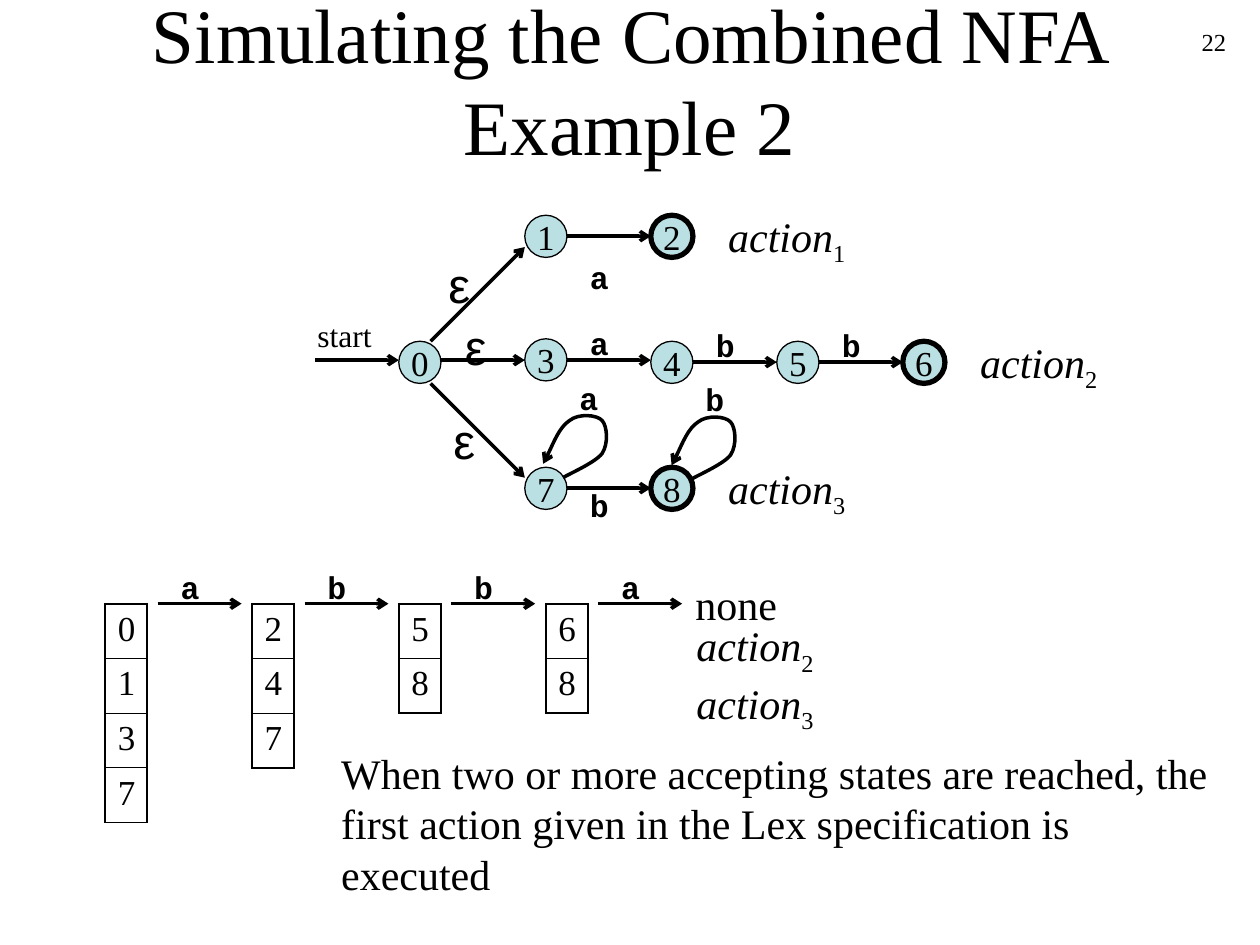
from dataclasses import dataclass

from lxml import etree
from pptx import Presentation
from pptx.dml.color import RGBColor
from pptx.enum.shapes import MSO_CONNECTOR, MSO_SHAPE
from pptx.enum.text import MSO_ANCHOR, MSO_AUTO_SIZE, PP_ALIGN
from pptx.oxml.ns import qn
from pptx.util import Cm, Pt

BLACK = RGBColor(0x00, 0x00, 0x00)
STATE_FILL = RGBColor(0xBB, 0xE0, 0xE3)
SERIF, SANS, MONO = "Times New Roman", "Arial", "Courier New"
STRAIGHT, OVAL = MSO_CONNECTOR.STRAIGHT, MSO_SHAPE.OVAL
MIDDLE, CENTER, RIGHT = MSO_ANCHOR.MIDDLE, PP_ALIGN.CENTER, PP_ALIGN.RIGHT
FIT_SHAPE, NO_FIT = MSO_AUTO_SIZE.SHAPE_TO_FIT_TEXT, MSO_AUTO_SIZE.NONE

# All distances below are centimetres.
PITCH, DIAMETER = 2.54, 0.85
ARROW_LENGTH = PITCH - DIAMETER
STATE_LEFT, STATE_TOP = 8.04, 4.34
TRACE_LEFT, TRACE_TOP, TRACE_PITCH, ROW_HEIGHT = 2.12, 12.17, 2.96, 1.1
LOOP_POINTS = [
    (11.35, 9.63), (11.48, 9.55), (12.01, 9.32), (12.14, 9.14),
    (12.27, 8.94), (12.24, 8.59), (12.14, 8.48), (12.04, 8.36),
    (11.66, 8.33), (11.48, 8.48), (11.28, 8.61), (11.05, 9.17), (10.95, 9.35),
]


@dataclass
class State:
    name: str
    column: int
    row: int
    accepting: bool = False
    raised: float = 0


@dataclass
class Label:
    text: str
    left: float
    top: float
    width: float = 0.89
    height: float = 1.02
    size: int = 18
    face: str = MONO
    bold: bool = False


@dataclass
class Step:
    states: str
    symbol: str


STATES = [
    State("0", 0, 1), State("1", 1, 0), State("2", 2, 0, True),
    State("3", 1, 1, raised=0.05), State("4", 2, 1), State("5", 3, 1),
    State("6", 4, 1, True), State("7", 1, 2), State("8", 2, 2, True),
]
# Column each level arrow leaves, and its height; the start arrow leaves column -1.
LEVEL_ARROWS = [(-1, 7.26), (0, 7.26), (1, 7.26), (2, 7.3), (3, 7.3), (1, 4.76), (1, 9.84)]
DIAGONAL_ARROWS = [(8.68, 6.88, 10.58, 4.98), (8.68, 7.73, 10.58, 9.63)]
SYMBOLS = [
    ("a", 11.64, 5.08), ("a", 11.64, 6.4), ("b", 14.18, 6.45), ("b", 16.72, 6.45),
    ("b", 11.64, 9.68), ("a", 11.43, 7.52), ("b", 13.97, 7.54),
]
EPSILONS = [(8.79, 5.0), (9.12, 6.25), (8.89, 8.15)]
ACTIONS = [("1", 14.43, 4.11), ("2", 19.51, 6.65), ("3", 14.43, 9.19), ("23", 13.79, 12.37)]
STEPS = [Step("0137", "a"), Step("247", "b"), Step("58", "b"), Step("68", "a")]


def set_font(font, size: int, face: str = SERIF, bold: bool = False) -> None:
    font.size, font.name, font.bold = Pt(size), face, bold
    font.color.rgb = BLACK


def add_label(slide, label: Label):
    box = slide.shapes.add_textbox(
        Cm(label.left), Cm(label.top), Cm(label.width), Cm(label.height))
    frame = box.text_frame
    frame.word_wrap, frame.auto_size = False, FIT_SHAPE
    paragraph = frame.paragraphs[0]
    paragraph.text = label.text
    set_font(paragraph.font, label.size, label.face, label.bold)
    return box


def add_actions(slide, numbers: str, left: float, top: float) -> None:
    """Write one line for each number, the number set as a subscript."""
    height = 1.42 if len(numbers) == 1 else 2.57
    box = add_label(slide, Label("", left, top, 2.87, height, 24, SERIF))
    paragraph = box.text_frame.paragraphs[0]
    for index, number in enumerate(numbers):
        if index:
            paragraph.add_line_break()
        word = paragraph.add_run()
        word.text, word.font.italic = "action", True
        subscript = paragraph.add_run()
        subscript.text = number
        subscript.font._element.set("baseline", "-25000")


def style_arrow(shape) -> None:
    shape.line.color.rgb, shape.line.width = BLACK, Pt(2)
    etree.SubElement(shape.line._get_or_add_ln(), qn("a:tailEnd"), type="arrow")


def add_arrow(slide, x1: float, y1: float, x2: float, y2: float) -> None:
    arrow = slide.shapes.add_connector(STRAIGHT, Cm(x1), Cm(y1), Cm(x2), Cm(y2))
    style_arrow(arrow)
    etree.SubElement(arrow._element.spPr, qn("a:effectLst"))


def add_loop(slide, right: float, down: float) -> None:
    """Draw the loop, turning every three straight segments into one curve."""
    points = [(Cm(x + right), Cm(y + down)) for x, y in LOOP_POINTS]
    builder = slide.shapes.build_freeform(*points[0])
    builder.add_line_segments(points[1:], close=False)
    loop = builder.convert_to_shape()
    loop.shadow.inherit = False
    loop.fill.background()
    style_arrow(loop)
    segments = list(loop._element.iter(qn("a:lnTo")))
    for first in range(0, len(segments), 3):
        curve = etree.SubElement(segments[first].getparent(), qn("a:cubicBezTo"))
        for segment in segments[first:first + 3]:
            curve.append(segment[0])
            segment.getparent().remove(segment)


def add_state(slide, state: State) -> None:
    circle = slide.shapes.add_shape(
        OVAL, Cm(STATE_LEFT + PITCH * state.column),
        Cm(STATE_TOP + PITCH * state.row - state.raised), Cm(DIAMETER), Cm(DIAMETER))
    circle.shadow.inherit = False
    circle.fill.solid()
    circle.fill.fore_color.rgb = STATE_FILL
    circle.line.color.rgb = BLACK
    circle.line.width = Pt(3 if state.accepting else 0.75)
    frame = circle.text_frame
    frame.word_wrap, frame.vertical_anchor = False, MIDDLE
    paragraph = frame.paragraphs[0]
    paragraph.text, paragraph.alignment = state.name, CENTER
    set_font(paragraph.font, 20)


def add_border(cell, side: str, width: float) -> None:
    line = etree.SubElement(
        cell._tc.get_or_add_tcPr(), qn(f"a:ln{side}"), w=str(int(Pt(width))))
    fill = etree.SubElement(line, qn("a:solidFill"))
    etree.SubElement(fill, qn("a:srgbClr"), val=str(BLACK))


def add_state_set(slide, states: str, left: float) -> None:
    count = len(states)
    table = slide.shapes.add_table(
        count, 1, Cm(left), Cm(TRACE_TOP), Cm(DIAMETER), Cm(ROW_HEIGHT * count)).table
    table.first_row = table.horz_banding = False
    inner = 0.45 if count > 2 else 1.08
    for index, name in enumerate(states):
        cell = table.cell(index, 0)
        widths = {"L": 1.08, "R": 1.08, "T": inner if index else 1.08,
                  "B": inner if index < count - 1 else 1.08}
        for side, width in widths.items():
            add_border(cell, side, width)
        cell.fill.background()
        paragraph = cell.text_frame.paragraphs[0]
        paragraph.text = name
        set_font(paragraph.font, 20)


def add_title(slide) -> None:
    title = slide.shapes.title
    title.left, title.top, title.width, title.height = Cm(1.9), Cm(0), Cm(21.59), Cm(3.18)
    frame = title.text_frame
    frame.auto_size, frame.vertical_anchor, frame.word_wrap = NO_FIT, MIDDLE, True
    paragraph = frame.paragraphs[0]
    paragraph.text, paragraph.alignment = "Simulating the Combined NFA Example 2", CENTER
    set_font(paragraph.font, 44)


def main() -> None:
    deck = Presentation()
    deck.slide_width, deck.slide_height = Cm(25.4), Cm(19.05)
    slide = deck.slides.add_slide(deck.slide_layouts[5])
    add_title(slide)
    number = add_label(slide, Label("22", 19.69, 0.43, 5.28, 1.27, 14, SERIF))
    number.text_frame.word_wrap = True
    number.text_frame.paragraphs[0].alignment = RIGHT

    for state in STATES:
        add_state(slide, state)
    for column, y in LEVEL_ARROWS:
        x = STATE_LEFT + DIAMETER + PITCH * column
        add_arrow(slide, x, y, x + ARROW_LENGTH, y)
    for ends in DIAGONAL_ARROWS:
        add_arrow(slide, *ends)
    add_loop(slide, 0, 0)
    add_loop(slide, 2.59, 0.03)
    for symbol, left, top in SYMBOLS:
        add_label(slide, Label(symbol, left, top, bold=True))
    for left, top in EPSILONS:
        add_label(slide, Label("ε", left, top, 0.94, 1.45, 28, SANS))
    add_label(slide, Label("start", 6.15, 6.25, 1.6, 1.02, 18, SERIF))

    for index, step in enumerate(STEPS):
        left = TRACE_LEFT + TRACE_PITCH * index
        add_state_set(slide, step.states, left)
        add_label(slide, Label(step.symbol, left + 1.27, 11.33, bold=True))
        add_arrow(slide, left + 1.06, TRACE_TOP, left + 1.06 + ARROW_LENGTH, TRACE_TOP)
    for action in ACTIONS:
        add_actions(slide, *action)
    add_label(slide, Label("none", 13.77, 11.53, 2.16, 1.27, 24, SERIF))
    rule = add_label(slide, Label(
        "When two or more accepting states are reached, the\v"
        "first action given in the Lex specification is executed",
        6.63, 14.94, 18.34, 2.29, 24, SERIF))
    rule.text_frame.word_wrap = True
    deck.save("out.pptx")


if __name__ == "__main__":
    main()
